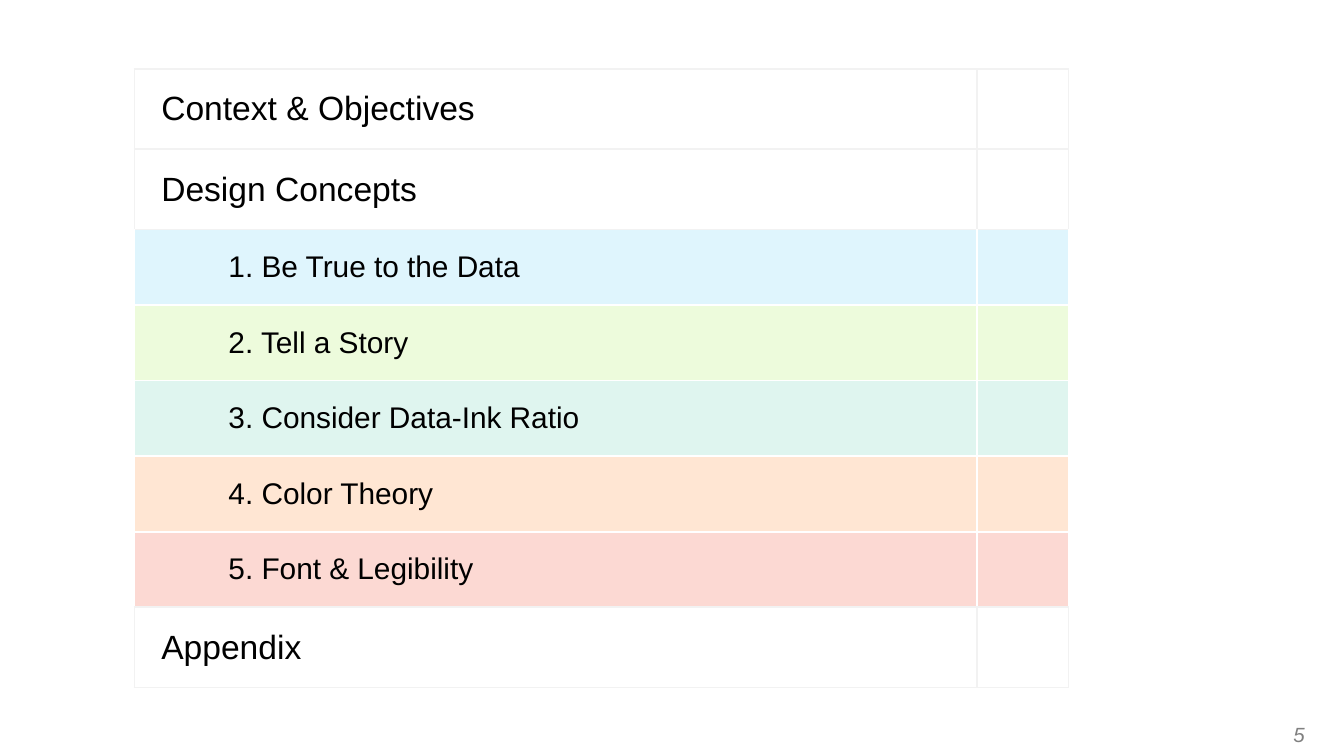
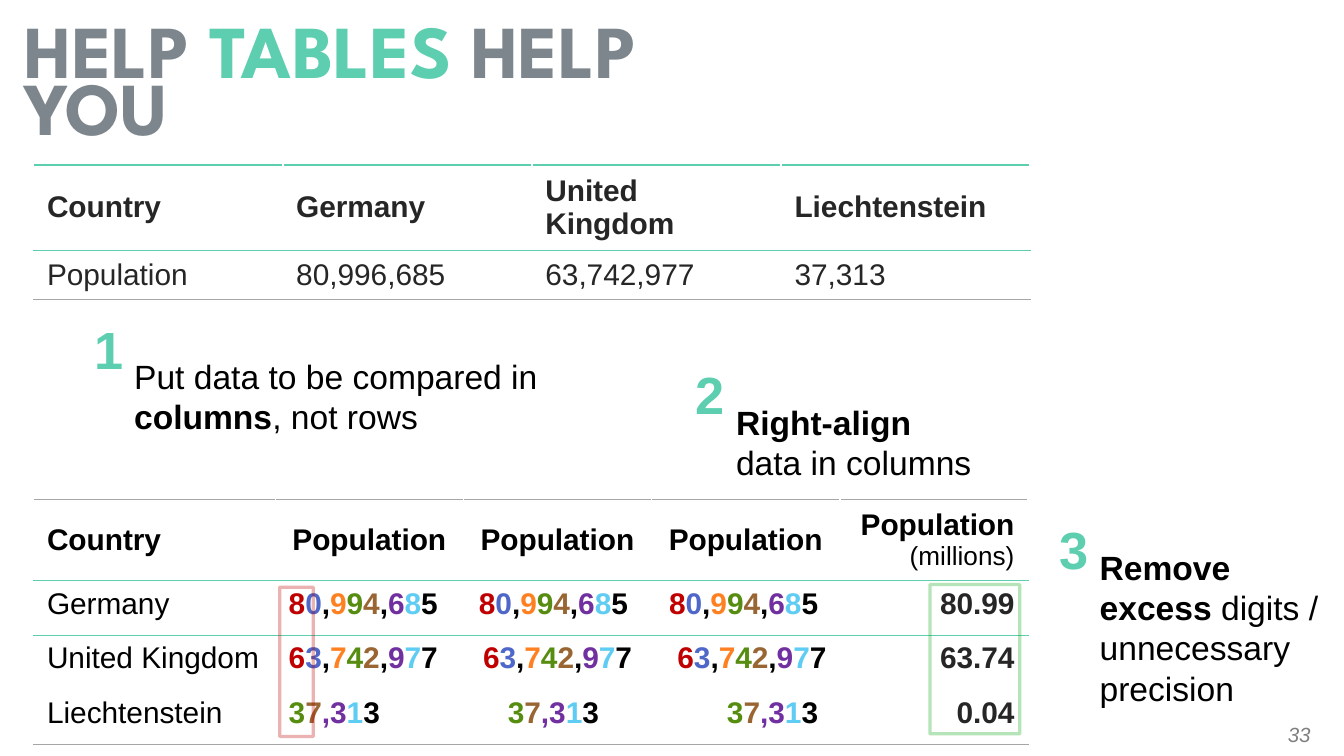
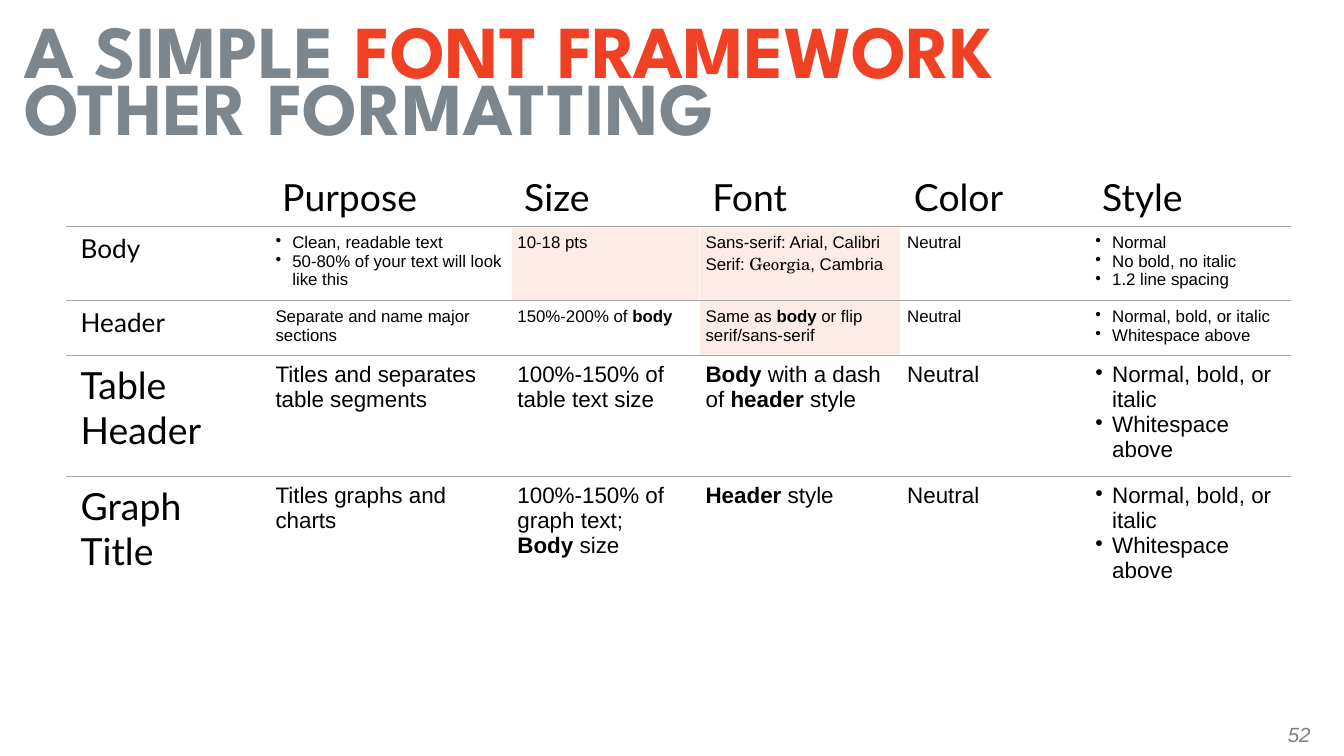
from lxml import etree
from pptx import Presentation
from pptx.dml.color import RGBColor
from pptx.enum.shapes import MSO_SHAPE as SHAPE
from pptx.enum.text import MSO_ANCHOR as ANCHOR, MSO_AUTO_SIZE as AUTO, PP_ALIGN as ALIGN
from pptx.oxml.ns import qn
from pptx.util import Pt

# Shared palette and text formats
BLACK, WHITE, DARK = "000000", "FFFFFF", "262626"
SLATE, TEAL, RED = "7D868C", "5DCEAF", "F14124"
PALE, GREY = "F2F2F2", "A6A6A6"
BODY = dict(name="Arial", size=18, color=BLACK, bold=False)
TITLE = dict(name="League Spartan", size=40, color=SLATE, bold=True)
NUMBER = dict(name="Arial", size=28, color=TEAL, bold=True)
FOOTER = dict(name="Arial", size=11, color="808080", italic=True)
LABEL = dict(BODY, size=16)


def rgb(hex_color):
    return RGBColor.from_string(hex_color)


def set_alpha(element, percent):
    for clr in element.iter(qn("a:srgbClr")):
        etree.SubElement(clr, qn("a:alpha")).set("val", str(percent * 1000))


# Text: a paragraph is a string with **bold** parts, or a list of (text, changes)
def write(tf, paragraphs, fmt, align=None, indent=0, bullet=False):
    for i, content in enumerate(paragraphs):
        p = tf.paragraphs[0] if i == 0 else tf.add_paragraph()
        p.alignment = align
        if indent:
            p_pr = p._p.get_or_add_pPr()
            p_pr.set("marL", str(Pt(indent)))
            p_pr.set("indent", str(Pt(-indent if bullet else 0)))
            if bullet:
                etree.SubElement(p_pr, qn("a:buChar")).set("char", "•")
        if isinstance(content, str):
            content = [(part, {"bold": True} if k % 2 else {})
                       for k, part in enumerate(content.split("**"))]
        for text, changes in content:
            if not text:
                continue
            r = p.add_run()
            r.text = text
            for key, value in {**fmt, **changes}.items():
                if key == "color":
                    r.font.color.rgb = rgb(value)
                else:
                    setattr(r.font, key, Pt(value) if key == "size" else value)


def text_box(shapes, box, paragraphs, fmt, align=None, anchor=ANCHOR.TOP, grow=False):
    tf = shapes.add_textbox(*map(Pt, box)).text_frame
    tf.word_wrap = True
    tf.vertical_anchor = anchor
    tf.auto_size = AUTO.SHAPE_TO_FIT_TEXT if grow else AUTO.NONE
    write(tf, paragraphs, fmt, align)


# Tables
def new_table(s, left, top, widths, heights):
    table = s.shapes.add_table(len(heights), len(widths), Pt(left), Pt(top),
                               Pt(sum(widths)), Pt(sum(heights))).table
    table.first_row = table.horz_banding = False
    for column, width in zip(table.columns, widths):
        column.width = Pt(width)
    for row, height in zip(table.rows, heights):
        row.height = Pt(height)
    return table


def style_cell(cell, fill=None, alpha=None, borders=None, insets=None, anchor=ANCHOR.TOP):
    """borders maps L, R, T, B to (colour, width)."""
    cell.vertical_anchor = anchor
    if insets:
        cell.margin_left = cell.margin_right = Pt(insets[0])
        cell.margin_top = cell.margin_bottom = Pt(insets[1])
    if fill:
        cell.fill.solid()
        cell.fill.fore_color.rgb = rgb(fill)
    else:
        cell.fill.background()
    tc_pr = cell._tc.get_or_add_tcPr()
    if alpha:
        set_alpha(tc_pr, alpha)
    sides = [side for side in "LRTB" if side in (borders or {})]
    for i, side in enumerate(sides):
        color, width = borders[side]
        ln = etree.Element(qn("a:ln" + side), w=str(Pt(width)))
        solid = etree.SubElement(ln, qn("a:solidFill"))
        etree.SubElement(solid, qn("a:srgbClr")).set("val", color)
        tc_pr.insert(i, ln)


# Parts found on several slides
def new_slide(prs, number):
    s = prs.slides.add_slide(prs.slide_layouts[6])
    text_box(s.shapes, (672, 382.3, 48, 22.3), [str(number)], FOOTER,
             ALIGN.CENTER, ANCHOR.MIDDLE)
    return s


def add_title(s, first_line, second_line):
    text_box(s.shapes, (6, -1.5, 696, 60), [first_line], TITLE)
    text_box(s.shapes, (6, 29, 708, 55), [second_line], TITLE)


# Agenda slide
AGENDA = [
    ("Context & Objectives", None), ("Design Concepts", None),
    ("1. Be True to the Data", "DFF5FD"), ("2. Tell a Story", "EDFBDC"),
    ("3. Consider Data-Ink Ratio", "DFF5EF"), ("4. Color Theory", "FFE6D3"),
    ("5. Font & Legibility", "FCD9D3"), ("Appendix", None),
]


def agenda_slide(prs):
    s = new_slide(prs, 5)
    heights = [40.5 if fill else 43 for _, fill in AGENDA]
    table = new_table(s, 72, 37, (451.5, 49), heights)
    fills = [None, *(fill for _, fill in AGENDA), None]
    for i, (text, fill) in enumerate(AGENDA):
        side, top, bottom = [(WHITE if all(pair) else PALE, 1) for pair in
                             ((fill,), (fill, fills[i]), (fill, fills[i + 2]))]
        for cell in table.rows[i].cells:
            style_cell(cell, fill, borders=dict(L=side, R=side, T=top, B=bottom),
                       insets=(14.4, 0), anchor=ANCHOR.MIDDLE)
        write(table.cell(i, 0).text_frame, [text], LABEL if fill else BODY,
              indent=36 if fill else 0)


# Table advice slide
DIGIT_COLORS = ["C00000", "4E67C8", "FF8021", "568D11", "996633", "7030A0", "5ECCF3", BLACK]
COUNTRIES = [("Germany", "80,994,685", "80.99"),
             ("United Kingdom", "63,742,977", "63.74"),
             ("Liechtenstein", "37,313", "0.04")]
THIN_GREY, THIN_TEAL, THICK_TEAL = (GREY, 0.5), (TEAL, 0.5), (TEAL, 1)


def colored_digits(number, tail=""):
    """Colour each digit by its decimal place."""
    comma = BLACK if number.count(",") > 1 else "7030A0"
    places = iter(DIGIT_COLORS[-len(number.replace(",", "")):])
    runs = [(ch, {"color": comma if ch == "," else next(places)}) for ch in number]
    last, color = runs[-1]
    return runs[:-1] + [(last + tail, color)]


def row_data_table(s, left, top):
    rows = [("Country", "Germany", "United Kingdom", "Liechtenstein"),
            ("Population", "80,996,685", "63,742,977", "37,313")]
    edges = [THICK_TEAL, THIN_TEAL, THIN_GREY]
    table = new_table(s, left, top, [133.5] * 4, (45.5, 26.5))
    for i, row in enumerate(rows):
        for j, text in enumerate(row):
            cell = table.cell(i, j)
            style_cell(cell, WHITE, 20 if i else None,
                       dict(T=edges[i], B=edges[i + 1]), anchor=ANCHOR.MIDDLE)
            write(cell.text_frame, [text], dict(LABEL, color=DARK, bold=i == 0))


def column_data_table(s, left, top):
    edges = [THIN_GREY, THICK_TEAL, THIN_TEAL, None, THIN_GREY]
    aligns = [ALIGN.LEFT, ALIGN.LEFT, ALIGN.CENTER, ALIGN.RIGHT, ALIGN.RIGHT]
    bold = dict(LABEL, bold=True)
    header = ["Country", "Population ", "Population", "Population",
              [("Population ", {}), ("(millions)", {"size": 14, "bold": False})]]
    rows = [header]
    for country, number, millions in COUNTRIES:
        tail = "" if country == "United Kingdom" else " "
        rows.append([[(country, {"bold": False})], colored_digits(number),
                     colored_digits(number, tail), colored_digits(number, tail),
                     [(millions, {"color": DARK})]])
    table = new_table(s, left, top, [129.5] + [100.8] * 4, [43.3] + [29.2] * 3)
    for i, row in enumerate(rows):
        borders = {side: edge for side, edge in zip("TB", edges[i:i + 2]) if edge}
        for j, content in enumerate(row):
            cell = table.cell(i, j)
            style_cell(cell, WHITE, borders=borders,
                       anchor=ANCHOR.TOP if i else ANCHOR.MIDDLE)
            header_center = i == 0 and 1 <= j <= 3
            write(cell.text_frame, [content], bold,
                  ALIGN.CENTER if header_center else aligns[j])


def callout(s, number, text, box, rise=21):
    """Numbered advice: the number sits above and left of the text box."""
    left, top, _, _ = box
    shapes = s.shapes.add_group_shape().shapes
    text_box(shapes, box, [text], BODY, grow=True)
    text_box(shapes, (left - 21.5, top - rise, 42, 41), [number], NUMBER, grow=True)


def highlight(s, box, color):
    sp = s.shapes.add_shape(SHAPE.RECTANGLE, *map(Pt, box))
    sp.shadow.inherit = False
    sp.fill.background()
    sp.line.color.rgb = rgb(color)
    sp.line.width = Pt(1.75)
    set_alpha(sp._element.spPr, 29)


def table_advice_slide(prs):
    s = new_slide(prs, 33)
    add_title(s, [("HELP ", {}), ("TABLES ", {"color": TEAL}), ("HELP", {})], "YOU")
    row_data_table(s, 18, 88.5)
    column_data_table(s, 18, 267.8)
    callout(s, "1", "Put data to be compared in **columns**, not rows", (64.8, 187.2, 246, 51))
    callout(s, "3", "**Remove excess** digits / unnecessary precision",
            (582, 289.4, 132, 94.5), rise=16)
    callout(s, "2", "**Right-align** data in columns", (387.2, 211.7, 147.5, 51))
    highlight(s, (149.8, 314.6, 18, 80), "C00000")
    highlight(s, (498.2, 313.2, 48.2, 80), "08A817")


# Font framework slide: bulleted cells are lists, shaded cells are in SHADED
SERIF = [("Serif: ", {}), ("Georgia", {"name": "TeX Gyre Schola"}), (", Cambria", {})]
STYLES = ["Normal, bold, or italic", "Whitespace above"]
FRAMEWORK = [  # label, label size, text size, cells
    ("Body", 14, 9, [["Clean, readable text", "50-80% of your text will look like this"],
                     "10-18 pts", ("Sans-serif: Arial, Calibri", SERIF), "Neutral",
                     ["Normal", "No bold, no italic", "1.2 line spacing"]]),
    ("Header", 14, 9, ["Separate and name major sections", "150%-200% of **body**",
                       "Same as **body** or flip serif/sans-serif", "Neutral", STYLES]),
    ("Table Header", 20, 12, ["Titles and separates table segments",
                              "100%-150% of table text size",
                              "**Body** with a dash of **header** style", "Neutral", STYLES]),
    ("Graph Title", 20, 12, ["Titles graphs and charts",
                             ("100%-150% of graph text;", "**Body** size"),
                             "**Header** style", "Neutral", STYLES]),
]
SHADED = {(1, 2), (1, 3), (2, 3)}


def framework_table(s, left, top):
    table = new_table(s, left, top, (108, 129.6, 100.8, 108, 100.8, 108),
                      (31, 39.6, 29.5, 64.8, 68.4))
    lato = dict(BODY, name="Lato", size=20)
    last_row, last_col = len(table.rows) - 1, len(table.columns) - 1

    for i, row in enumerate(table.rows):
        for j, cell in enumerate(row.cells):
            inner = dict(L=j > 0, R=j < last_col, T=i > 0, B=i < last_row)
            borders = {side: (GREY, 0.5) if side in "TB" else (WHITE, 0.25)
                       for side, shown in inner.items() if shown}
            shaded = (i, j) in SHADED
            style_cell(cell, RED if shaded else None, 10 if shaded else None, borders,
                       (3.6, 3.6) if i and j else None)

    for j, heading in enumerate(("Purpose", "Size", "Font", "Color", "Style"), 1):
        write(table.cell(0, j).text_frame, [heading], lato)
    for i, (label, label_size, size, contents) in enumerate(FRAMEWORK, 1):
        write(table.cell(i, 0).text_frame, [label], dict(lato, size=label_size))
        for j, content in enumerate(contents, 1):
            bullet = isinstance(content, list)
            write(table.cell(i, j).text_frame,
                  [content] if isinstance(content, str) else content,
                  dict(BODY, size=size), indent=9 if bullet else 0, bullet=bullet)


def font_framework_slide(prs):
    s = new_slide(prs, 52)
    framework_table(s, 36, 90)
    add_title(s, [("A SIMPLE ", {}), ("FONT FRAMEWORK", {"color": RED})], "OTHER FORMATTING")


def main():
    prs = Presentation()
    prs.slide_width, prs.slide_height = Pt(720), Pt(405)
    agenda_slide(prs)
    table_advice_slide(prs)
    font_framework_slide(prs)
    prs.save("out.pptx")


if __name__ == "__main__":
    main()
